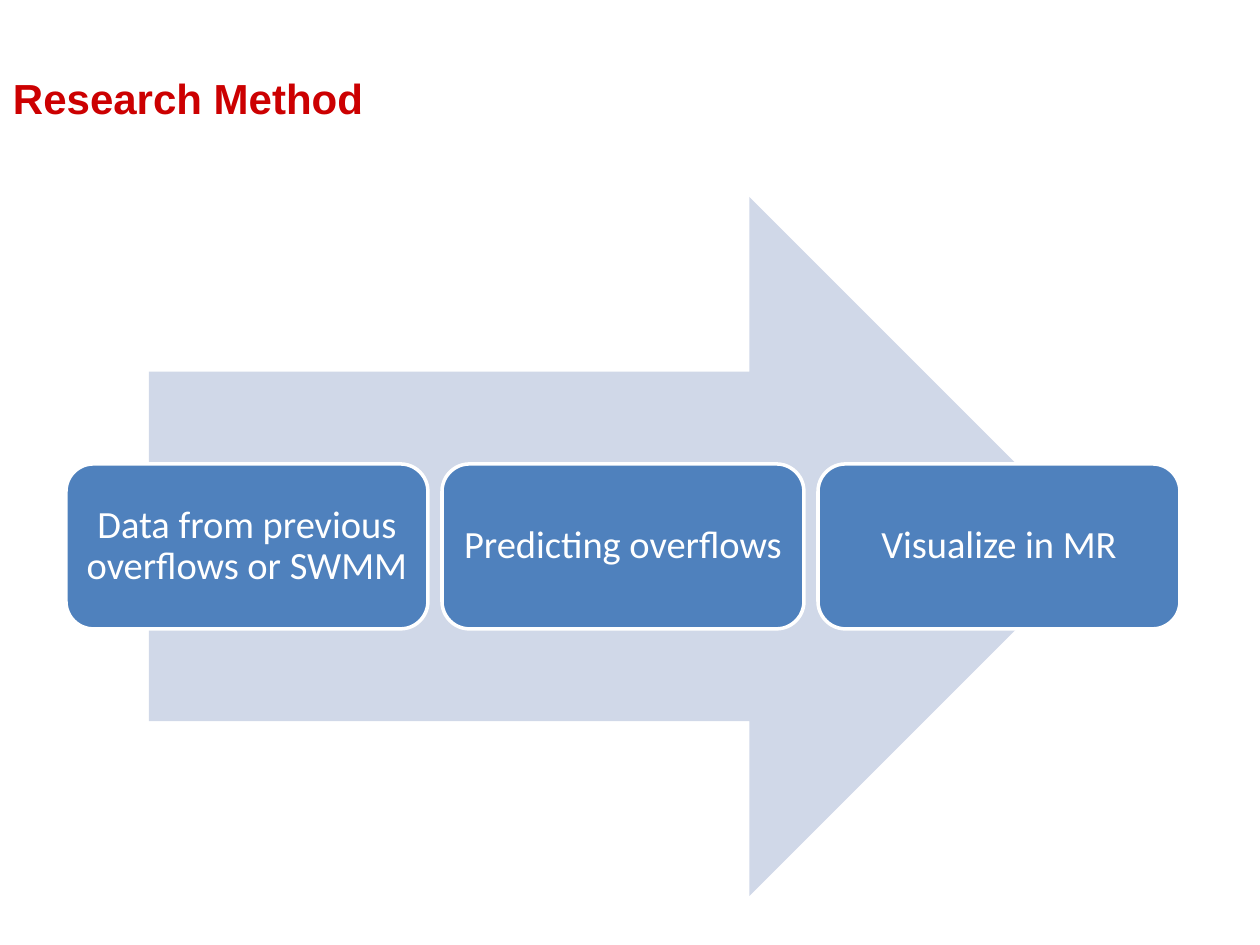
from pptx import Presentation
from pptx.dml.color import RGBColor
from pptx.enum.shapes import MSO_SHAPE
from pptx.enum.text import MSO_ANCHOR, PP_ALIGN
from pptx.util import Emu, Pt

ARROW, ROUNDED = MSO_SHAPE.RIGHT_ARROW, MSO_SHAPE.ROUNDED_RECTANGLE
MIDDLE, LEFT, CENTER = MSO_ANCHOR.MIDDLE, PP_ALIGN.LEFT, PP_ALIGN.CENTER
PX = 914400 // 126


def color(hex_string):
    return RGBColor.from_string(hex_string)


def write(shape, text, align, inset, text_color, **font):
    """Fill a shape with one vertically centred paragraph."""
    frame = shape.text_frame
    frame.word_wrap = True
    frame.vertical_anchor = MIDDLE
    frame.margin_left = frame.margin_right = Emu(inset * PX)
    para = frame.paragraphs[0]
    para.alignment = align
    span = para.add_run()
    span.text = text
    span.font.color.rgb = color(text_color)
    for name, value in font.items():
        setattr(span.font, name, value)
    return para


deck = Presentation()
deck.slide_width, deck.slide_height = Emu(1260 * PX), Emu(945 * PX)
page = deck.slides.add_slide(deck.slide_layouts[6])

title = page.shapes.add_textbox(0, 66 * PX, 1134 * PX, 64 * PX)
write(title, "Research Method", LEFT, 13, "CC0001",
      name="Arial", size=Pt(24), bold=True)

arrow = page.shapes.add_shape(ARROW, 149 * PX, 197 * PX, 950 * PX, 699 * PX)
arrow.shadow.inherit = False
arrow.fill.solid()
arrow.fill.fore_color.rgb = color("D0D8E8")
arrow.line.fill.background()

steps = ["Data from previous overflows or SWMM", "Predicting overflows", "Visualize in MR"]
step_left, step_width, step_gap = 66, 362, 14
for index, text in enumerate(steps):
    left = step_left + index * (step_width + step_gap)
    box = page.shapes.add_shape(ROUNDED, left * PX, 464 * PX, step_width * PX, 165 * PX)
    box.shadow.inherit = False
    box.fill.solid()
    box.fill.fore_color.rgb = color("4F81BD")
    box.line.color.rgb = color("FFFFFF")
    box.line.width = Pt(2)
    para = write(box, text, CENTER, 11, "FFFFFF", name="Calibri", size=Pt(22))
    para.line_spacing = 0.9

deck.save("out.pptx")
